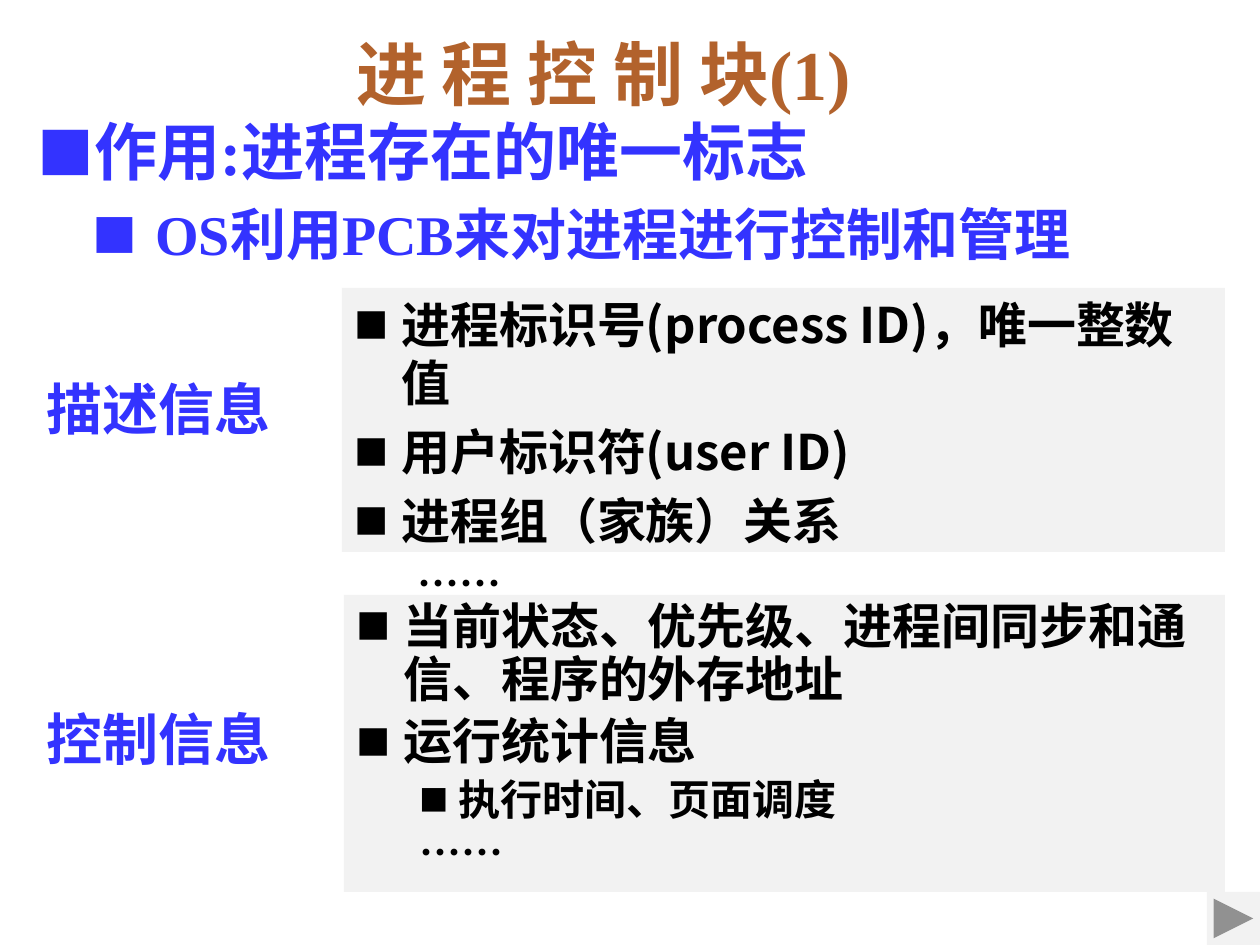
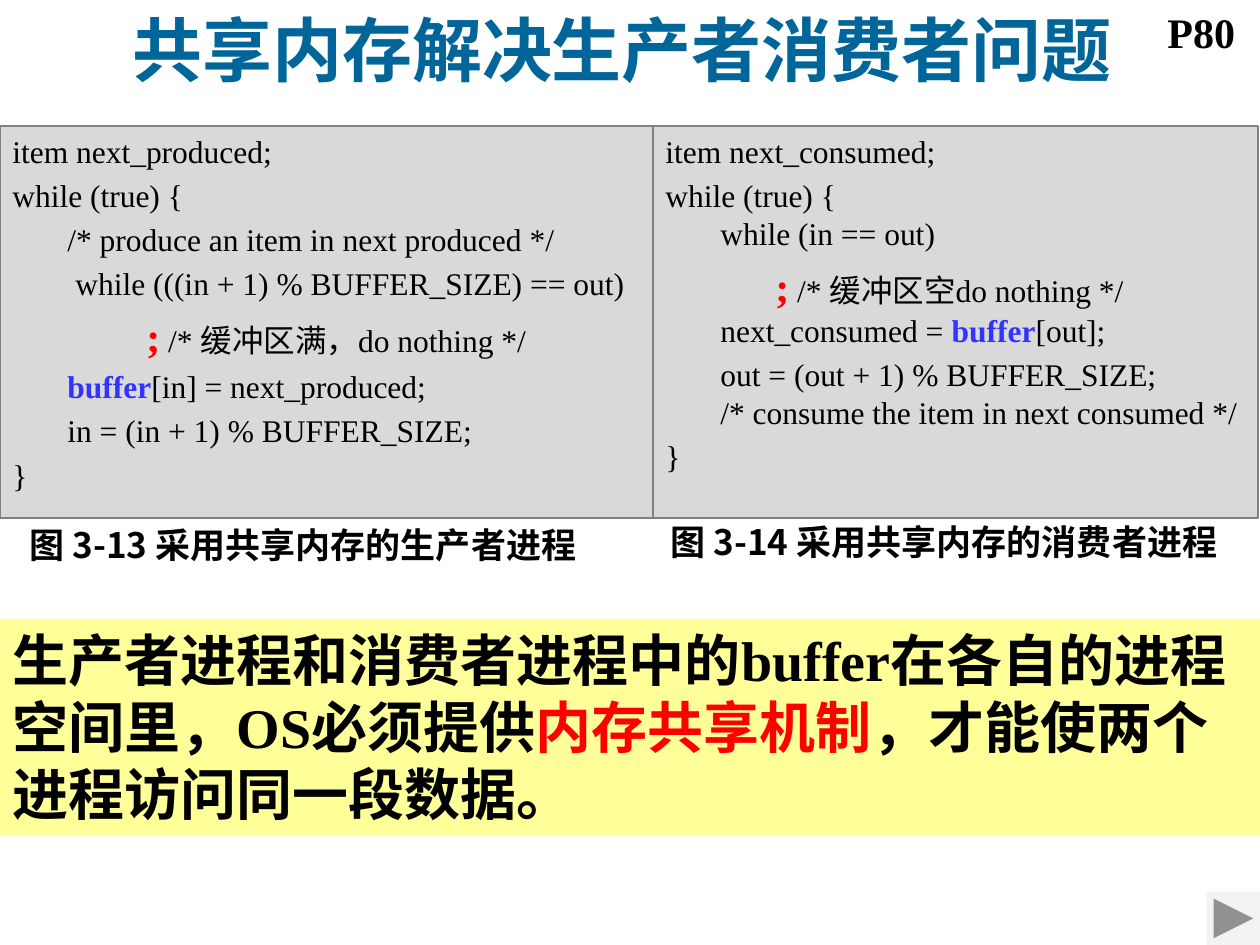
"""Build two slides on process control blocks and shared memory."""
from dataclasses import dataclass, replace

from lxml.etree import SubElement
from pptx import Presentation
from pptx.dml.color import RGBColor
from pptx.enum.shapes import MSO_SHAPE as Shape
from pptx.enum.text import MSO_ANCHOR as Anchor, PP_ALIGN as Align
from pptx.oxml.ns import qn
from pptx.util import Emu, Pt

EMU_PER_PX = 914400 / 126


@dataclass(frozen=True)
class Theme:
    """Colours, fonts and type sizes of the deck."""
    blue: str = "3333FF"
    brown: str = "B2622C"
    teal: str = "006699"
    red: str = "FF0000"
    black: str = "000000"
    panel: str = "F2F2F2"
    code_fill: str = "D9D9D9"
    code_line: str = "808080"
    note_fill: str = "FFFF99"
    serif: str = "Times New Roman"
    sans: str = "Noto Sans CJK SC"
    title: int = 40
    lead: int = 36
    heading: int = 32
    item: int = 28
    detail: int = 24
    caption: int = 20
    code: int = 18
    line_ratio: float = 1.2
    gap_ratio: float = 0.2


THEME = Theme()


@dataclass(frozen=True)
class Style:
    """Look of one run."""
    size: int
    color: str = THEME.black
    font: str = THEME.serif
    bold: bool = True


@dataclass(frozen=True)
class Line:
    """One paragraph: its runs, indent, bullet size and spacing."""
    runs: tuple
    left: int = 0
    hang: int = 0
    bullet: int = 0
    spaced: bool = True


TITLE = Style(THEME.title)
LEAD = Style(THEME.lead, THEME.blue)
HEADING = Style(THEME.heading, THEME.blue)
ITEM = Style(THEME.item, font=THEME.sans)
DETAIL = replace(ITEM, size=THEME.detail)
CAPTION = replace(ITEM, size=THEME.caption)
NOTE = replace(ITEM, size=THEME.heading)
NOTE_LATIN = replace(NOTE, font=THEME.serif)
CODE = Style(THEME.code, bold=False)
SHARED = Style(THEME.code, THEME.blue)
EMPTY_BODY = Style(THEME.detail, THEME.red)


def px(length):
    """Turn px into EMU."""
    return Emu(round(length * EMU_PER_PX))


def rgb(color):
    """Turn a hex string into a colour."""
    return RGBColor.from_string(color)


def add_run(paragraph, text, style):
    """Add one styled run, Latin and East Asian fonts included."""
    run = paragraph.add_run()
    run.text = text
    font = run.font
    font.size = Pt(style.size)
    font.bold = style.bold
    font.color.rgb = rgb(style.color)
    font.name = style.font
    SubElement(run._r.get_or_add_rPr(), qn("a:ea"), typeface=THEME.sans)


def indent(paragraph, line):
    """Set the indent of a paragraph and its square bullet."""
    properties = paragraph._p.get_or_add_pPr()
    properties.set("marL", str(px(line.left)))
    properties.set("indent", str(px(-line.hang)))
    if line.bullet:
        color = SubElement(properties, qn("a:buClr"))
        SubElement(color, qn("a:srgbClr"), val=line.runs[0][1].color)
        SubElement(properties, qn("a:buSzPct"), val=str(line.bullet * 1000))
        SubElement(properties, qn("a:buFont"), typeface=THEME.sans)
        SubElement(properties, qn("a:buChar"), char="■")


def write(shape, lines, align=Align.LEFT, leading=1.0):
    """Fill a shape with paragraphs spaced by their largest type size."""
    frame = shape.text_frame
    frame.word_wrap = True
    frame.vertical_anchor = Anchor.TOP
    for index, line in enumerate(lines):
        paragraph = frame.add_paragraph() if index else frame.paragraphs[0]
        size = max(style.size for _, style in line.runs)
        paragraph.alignment = align
        paragraph.line_spacing = Pt(size * THEME.line_ratio * leading)
        gap = size * THEME.gap_ratio if index and line.spaced else 0
        paragraph.space_before = Pt(gap)
        indent(paragraph, line)
        for text, style in line.runs:
            add_run(paragraph, text, style)


def add_text(slide, box, lines, **layout):
    """Add a text box."""
    write(slide.shapes.add_textbox(*map(px, box)), lines, **layout)


def add_label(slide, box, text, style, **layout):
    """Add a text box with a single run."""
    add_text(slide, box, [Line(((text, style),))], **layout)


def add_panel(slide, box, fill, lines=(), outline=None, kind=Shape.RECTANGLE, **layout):
    """Add a filled shape with optional outline and text."""
    shape = slide.shapes.add_shape(kind, *map(px, box))
    shape.shadow.inherit = False
    shape.fill.solid()
    shape.fill.fore_color.rgb = rgb(fill)
    if outline:
        shape.line.color.rgb = rgb(outline)
        shape.line.width = Pt(0.75)
    else:
        shape.line.fill.background()
    if lines:
        write(shape, lines, **layout)


def add_title(slide, box, text, color, leading=1.0):
    """Add a centred slide title."""
    add_label(slide, box, text, replace(TITLE, color=color),
              align=Align.CENTER, leading=leading)


def add_next_button(slide):
    """Add the forward button in the bottom right corner."""
    add_panel(slide, (1207, 892, 53, 53), THEME.panel,
              kind=Shape.ACTION_BUTTON_FORWARD_OR_NEXT)


def item(text):
    """Make a bulleted item of an information panel."""
    return Line(((text, ITEM),), left=47, hang=47, bullet=70)


def code(text, left=0, spaced=True):
    """Make a plain line of code."""
    return Line(((text, CODE),), left=left, spaced=spaced)


def empty_body(comment, left):
    """Make the code line of an empty loop body."""
    return Line(((";", EMPTY_BODY), (" " + comment, CODE)), left=left)


def build_control_block(slide):
    """Build the slide on the process control block."""
    add_title(slide, (68, -9, 1071, 131), "进 程 控 制 块(1)", THEME.brown, leading=1.4)
    add_text(slide, (25, 106, 1181, 158), [
        Line((("作用:进程存在的唯一标志", LEAD),), left=47, hang=47, bullet=90),
        Line((("OS利用PCB来对进程进行控制和管理", HEADING),), left=118, hang=63, bullet=80),
    ])
    for top, text in ((368, "描述信息"), (698, "控制信息")):
        add_label(slide, (34, top, 287, 79), text, HEADING)
    ellipsis = Line((("……", DETAIL),), left=63)
    add_panel(slide, (342, 288, 883, 264), THEME.panel, [
        item("进程标识号(process ID)，唯一整数值"),
        item("用户标识符(user ID)"),
        item("进程组（家族）关系"),
        ellipsis,
    ])
    add_panel(slide, (344, 595, 881, 297), THEME.panel, [
        item("当前状态、优先级、进程间同步和通信、程序的外存地址"),
        item("运行统计信息"),
        Line((("执行时间、页面调度", DETAIL),), left=102, hang=39, bullet=70),
        ellipsis,
    ], leading=0.9)
    add_next_button(slide)


def build_shared_memory(slide):
    """Build the slide on the producer and consumer."""
    step = 55
    producer = [
        code("item next_produced;"),
        code("while (true) {"),
        code("/* produce an item in next produced */", step),
        code("while (((in + 1) % BUFFER_SIZE) == out)", 63),
        empty_body("/* 缓冲区满，do nothing */", 134),
        Line((("buffer", SHARED), ("[in] = next_produced;", CODE)), left=step),
        code("in = (in + 1) % BUFFER_SIZE;", step),
        code("}"),
    ]
    consumer = [
        code("item next_consumed;"),
        code("while (true) {"),
        code("while (in == out)", step, spaced=False),
        empty_body("/* 缓冲区空do nothing */", 2 * step),
        Line((("next_consumed = ", CODE), ("buffer", SHARED), ("[out];", CODE)),
             left=step, spaced=False),
        code("out = (out + 1) % BUFFER_SIZE;", step),
        code("/* consume the item in next consumed */", step, spaced=False),
        code("}"),
    ]
    for left, width, lines in ((0, 655, producer), (653, 605, consumer)):
        add_panel(slide, (left, 126, width, 392), THEME.code_fill, lines,
                  outline=THEME.code_line)
    add_label(slide, (0, 517, 606, 55), "图 3-13 采用共享内存的生产者进程",
              CAPTION, align=Align.CENTER)
    add_label(slide, (636, 514, 616, 55), "图 3-14 采用共享内存的消费者进程",
              CAPTION, align=Align.CENTER)
    add_label(slide, (1155, 0, 105, 63), "P80", Style(THEME.detail))
    add_title(slide, (-8, 0, 1260, 106), "共享内存解决生产者消费者问题", THEME.teal)
    add_panel(slide, (0, 619, 1260, 217), THEME.note_fill, [Line((
        ("生产者进程和消费者进程中的", NOTE),
        ("buffer", NOTE_LATIN),
        ("在各自的进程空间里，", NOTE),
        ("OS", NOTE_LATIN),
        ("必须提供", NOTE),
        ("内存共享机制", replace(NOTE, color=THEME.red)),
        ("，才能使两个进程访问同一段数据。", NOTE),
    ))])
    add_next_button(slide)


def main():
    """Build and save the presentation."""
    presentation = Presentation()
    presentation.slide_width = px(1260)
    presentation.slide_height = px(945)
    blank = presentation.slide_layouts[6]
    for build in (build_control_block, build_shared_memory):
        build(presentation.slides.add_slide(blank))
    presentation.save("out.pptx")


if __name__ == "__main__":
    main()
